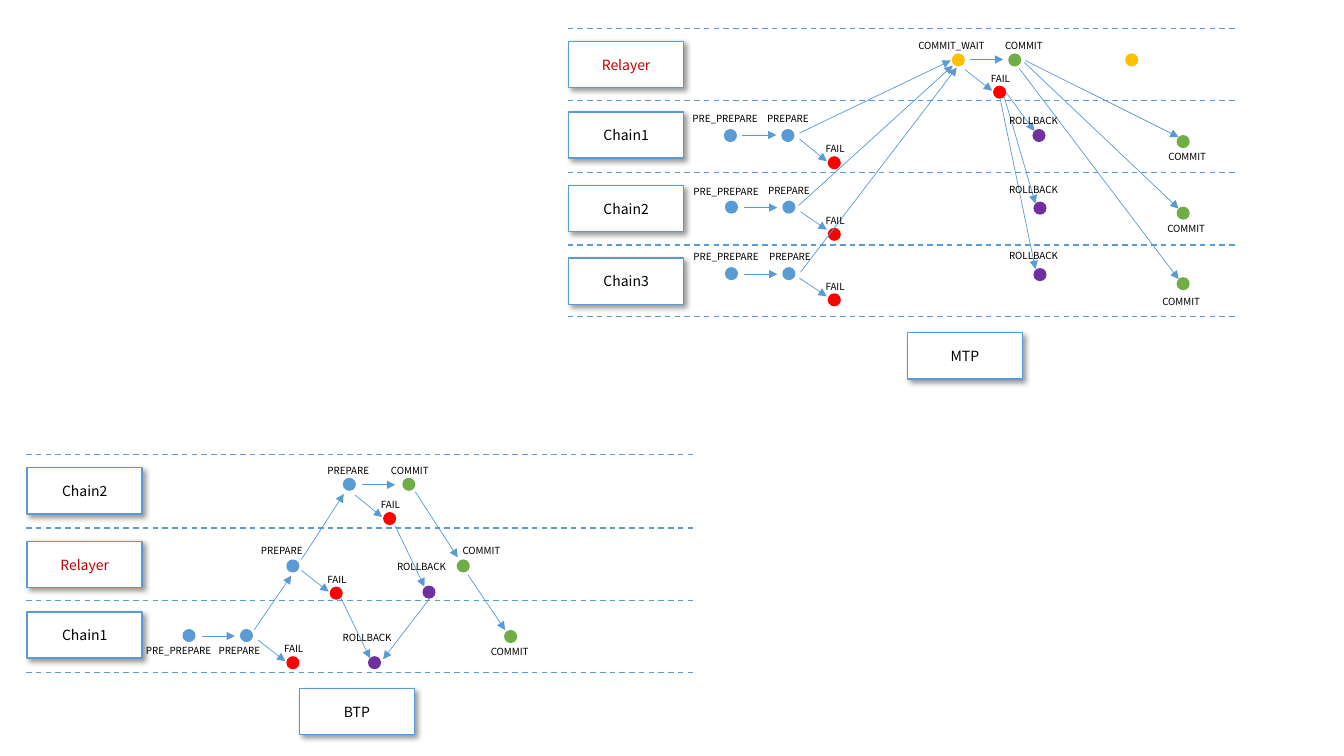
from lxml.etree import SubElement
from pptx import Presentation
from pptx.dml.color import RGBColor
from pptx.enum.dml import MSO_LINE
from pptx.enum.shapes import MSO_CONNECTOR, MSO_SHAPE
from pptx.enum.text import MSO_ANCHOR, PP_ALIGN
from pptx.oxml.ns import qn
from pptx.util import Cm, Pt

FONT = "Noto Sans CJK SC"
COLORS = {
    "blue": "5B9BD5", "red": "FF0000", "green": "70AD47", "gold": "FFC000",
    "purple": "7030A0", "dark": "C00000", "black": "000000", "white": "FFFFFF",
}
INCH = 2.54
RULE, DOT = 6.63, 0.13
BOX = (1.14, 0.46)
LABEL = (1.03, 0.22)

LANES = [
    (5.63, [0.28, 1, 1.71, 2.43, 3.14]),
    (0.26, [4.51, 5.24, 5.96, 6.67]),
]
BOXES = [
    ("Relayer", 5.64, 0.41), ("Chain1", 5.64, 1.11), ("Chain2", 5.64, 1.84),
    ("Chain3", 5.64, 2.56), ("MTP", 9, 3.3),
    ("Chain2", 0.27, 4.64), ("Relayer", 0.27, 5.37), ("Chain1", 0.27, 6.07),
    ("BTP", 2.97, 6.83),
]
DOTS = {
    "blue": [
        (7.18, 1.28), (7.75, 1.28), (7.19, 1.99), (7.76, 1.99), (7.19, 2.65), (7.76, 2.65),
        (1.81, 6.24), (2.38, 6.24), (2.84, 5.55), (3.4, 4.74),
    ],
    "red": [
        (8.21, 1.55), (8.21, 2.26), (8.21, 2.91), (9.85, 0.85),
        (2.84, 6.51), (3.27, 5.82), (3.8, 5.08),
    ],
    "green": [
        (10, 0.53), (11.67, 1.34), (11.67, 2.05), (11.67, 2.75),
        (3.99, 4.74), (4.53, 5.55), (5, 6.25),
    ],
    "gold": [(9.44, 0.53), (11.16, 0.53)],
    "purple": [(10.24, 1.28), (10.25, 2), (10.25, 2.66), (3.65, 6.51), (4.19, 5.81)],
}
LABELS = {
    "PRE_PREPARE": [(6.77, 1.07), (6.78, 1.79), (6.78, 2.44), (1.35, 6.35)],
    "PREPARE": [
        (7.51, 1.07), (7.52, 1.78), (7.53, 2.44), (2.07, 6.35), (2.49, 5.35), (3.15, 4.56),
    ],
    "FAIL": [
        (8.09, 1.37), (8.09, 2.08), (8.09, 2.74), (9.73, 0.67),
        (2.72, 6.33), (3.15, 5.64), (3.68, 4.9),
    ],
    "COMMIT_WAIT": [(9.01, 0.34)],
    "COMMIT": [
        (9.87, 0.34), (11.49, 1.45), (11.48, 2.16), (11.43, 2.88),
        (3.78, 4.56), (4.49, 5.35), (4.77, 6.36),
    ],
    "ROLLBACK": [(9.91, 1.09), (9.91, 1.77), (9.91, 2.43), (3.3, 6.22), (3.84, 5.51)],
}
ARROWS = [
    (7.36, 1.34, 7.7, 1.34), (7.93, 1.38, 8.2, 1.6), (7.93, 1.32, 9.43, 0.6),
    (7.38, 2.06, 7.71, 2.06), (7.94, 2.1, 8.2, 2.28), (7.92, 2.04, 9.45, 0.65),
    (7.38, 2.72, 7.71, 2.72), (7.93, 2.76, 8.2, 2.94), (7.94, 2.7, 9.49, 0.67),
    (9.62, 0.59, 9.95, 0.59), (9.57, 0.69, 9.84, 0.9),
    (10.17, 0.6, 11.69, 1.36), (10.16, 0.62, 11.69, 2.07), (10.11, 0.68, 11.69, 2.77),
    (9.98, 0.92, 10.26, 1.3), (9.96, 0.96, 10.27, 2.02), (9.92, 0.98, 10.27, 2.67),
    (2, 6.31, 2.33, 6.31), (2.56, 6.35, 2.83, 6.56), (2.52, 6.25, 2.89, 5.71),
    (2.99, 5.66, 3.26, 5.87), (2.99, 5.55, 3.41, 4.9), (3.59, 4.81, 3.92, 4.81),
    (3.52, 4.91, 3.79, 5.13), (4.12, 4.88, 4.54, 5.53), (4.64, 5.7, 5.01, 6.25),
    (3.38, 5.93, 3.67, 6.53), (3.92, 5.22, 4.21, 5.82), (4.26, 5.94, 3.8, 6.54),
]


def scale(*sizes):
    return [Cm(size * INCH) for size in sizes]


def tint(name):
    return RGBColor.from_string(COLORS[name])


def write(frame, text, size, color):
    frame.word_wrap = True
    para = frame.paragraphs[0]
    para.text = text
    para.font.name = FONT
    para.font.size = Pt(size)
    para.font.color.rgb = tint(color)
    return para


def draw_line(ends, width):
    line = slide.shapes.add_connector(MSO_CONNECTOR.STRAIGHT, *scale(*ends))
    line.line.color.rgb = tint("blue")
    line.line.width = Pt(width)
    SubElement(line._element.spPr, qn("a:effectLst"))
    return line.line


def draw_shape(kind, spot, size, color):
    shape = slide.shapes.add_shape(kind, *scale(*spot, *size))
    shape.shadow.inherit = False
    shape.fill.solid()
    shape.fill.fore_color.rgb = tint(color)
    shape.line.fill.background()
    return shape


def draw_box(text, left, top):
    box = draw_shape(MSO_SHAPE.RECTANGLE, (left, top), BOX, "white")
    box.line.color.rgb = tint("blue")
    box.line.width = Pt(1)
    effects = box._element.spPr.find(qn("a:effectLst"))
    shade = SubElement(effects, qn("a:outerShdw"), blurRad=str(Pt(4)), dist=str(Pt(3)),
                       dir="2700000", algn="tl", rotWithShape="0")
    black = SubElement(shade, qn("a:srgbClr"), val=COLORS["black"])
    SubElement(black, qn("a:alpha"), val="40000")
    box.text_frame.vertical_anchor = MSO_ANCHOR.MIDDLE
    para = write(box.text_frame, text, 10, "dark" if text == "Relayer" else "black")
    para.alignment = PP_ALIGN.CENTER


deck = Presentation()
deck.slide_width, deck.slide_height = scale(13.33, 7.5)
slide = deck.slides.add_slide(deck.slide_layouts[6])

for left, tops in LANES:
    for top in tops:
        draw_line((left, top, left + RULE, top), 1).dash_style = MSO_LINE.DASH

for box in BOXES:
    draw_box(*box)

for color, spots in DOTS.items():
    for spot in spots:
        draw_shape(MSO_SHAPE.FLOWCHART_CONNECTOR, spot, (DOT, DOT), color)

for ends in ARROWS:
    arrow = draw_line(ends, 0.5)
    SubElement(arrow._get_or_add_ln(), qn("a:tailEnd"), type="triangle")

for text, spots in LABELS.items():
    for spot in spots:
        label = slide.shapes.add_textbox(*scale(*spot, *LABEL))
        write(label.text_frame, text, 7, "black")

deck.save("out.pptx")
